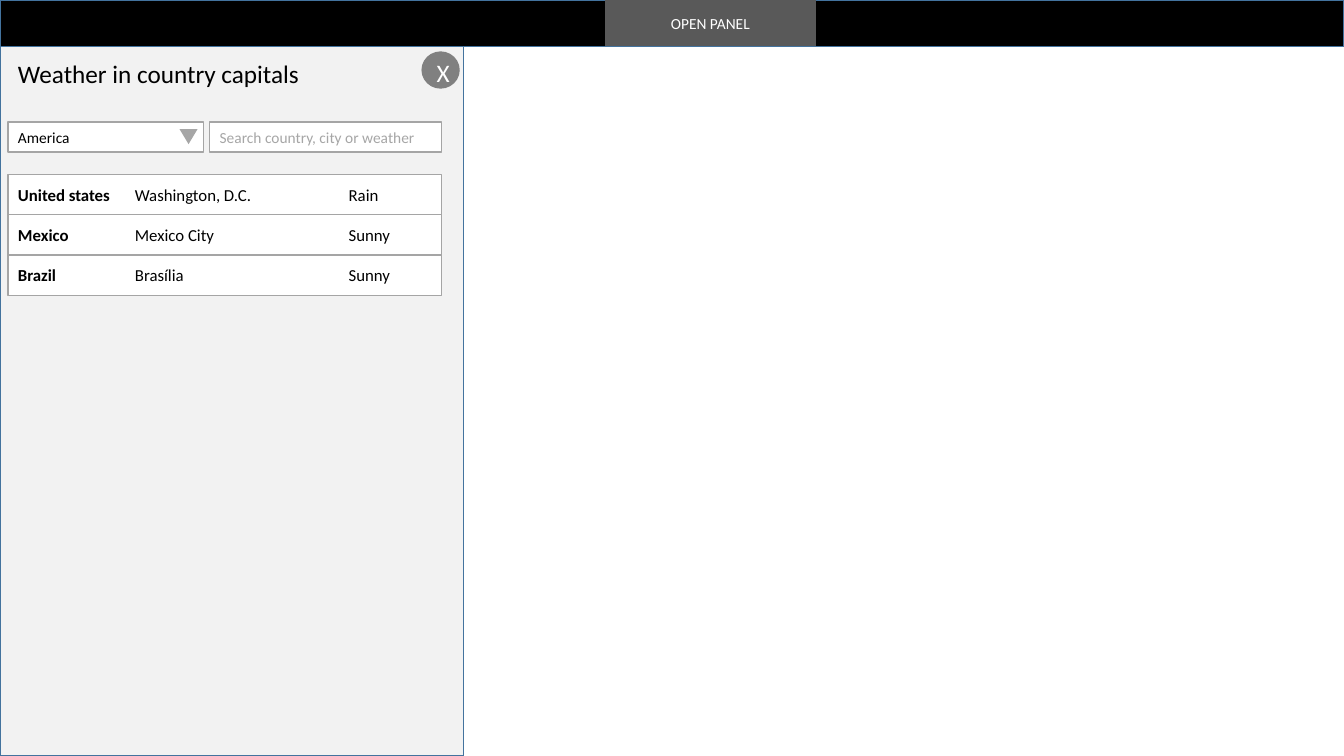
from dataclasses import dataclass

from lxml.etree import SubElement
from pptx import Presentation
from pptx.dml.color import RGBColor
from pptx.enum.shapes import MSO_SHAPE as Preset
from pptx.enum.text import MSO_ANCHOR as Anchor, PP_ALIGN as Align
from pptx.oxml.ns import qn
from pptx.util import Inches, Pt


@dataclass(frozen=True)
class Theme:
    font: str = "Calibri"
    black: str = "000000"
    white: str = "FFFFFF"
    panel: str = "F2F2F2"
    frame: str = "43739E"
    button: str = "595959"
    close: str = "808080"
    border: str = "A5A5A5"
    muted: str = "A6A6A6"
    title_size: int = 18
    row_size: int = 12
    small_size: int = 11


THEME = Theme()
PAGE_WIDTH, PAGE_HEIGHT = 13.33, 7.5
BAR_HEIGHT = 0.46
TAB_STOPS = (1.16, 3.28)
WEATHER = (
    ("United states", "Washington, D.C.", "Rain"),
    ("Mexico", "Mexico City", "Sunny"),
    ("Brazil", "Brasília", "Sunny"),
)


def add_box(page, preset, left, top, width, height, fill, line=None):
    box = page.shapes.add_shape(
        preset, Inches(left), Inches(top), Inches(width), Inches(height))
    box.shadow.inherit = False
    box.fill.solid()
    box.fill.fore_color.rgb = RGBColor.from_string(fill)
    if line:
        box.line.color.rgb = RGBColor.from_string(line)
        box.line.width = Pt(1)
    else:
        box.line.fill.background()
    return box


def write(box, text, size=THEME.small_size, color=THEME.black,
          align=Align.LEFT, anchor=Anchor.MIDDLE, bold=False):
    """Append a formatted span to the first paragraph of the box."""
    frame = box.text_frame
    frame.word_wrap = True
    frame.vertical_anchor = anchor
    para = frame.paragraphs[0]
    para.alignment = align
    span = para.add_run()
    span.text = text
    span.font.name = THEME.font
    span.font.size = Pt(size)
    span.font.bold = bold
    span.font.color.rgb = RGBColor.from_string(color)


def set_tab_stops(para, positions):
    tabs = SubElement(para._p.get_or_add_pPr(), qn("a:tabLst"))
    for position in positions:
        SubElement(tabs, qn("a:tab"), pos=str(Inches(position)), algn="l")


def add_top_bar(page, left, top, width, height):
    add_box(page, Preset.FLOWCHART_PROCESS, left, top, width, height,
            THEME.black, THEME.frame)
    button = add_box(page, Preset.FLOWCHART_PROCESS, left + 6, top, 2.09,
                     height, THEME.button)
    write(button, "OPEN PANEL", color=THEME.white, align=Align.CENTER)


def add_heading(page, left, top):
    title = page.shapes.add_textbox(
        Inches(left + 0.08), Inches(top + 0.07), Inches(3.35), Inches(0.4))
    write(title, "Weather in country capitals", THEME.title_size,
          anchor=Anchor.TOP)
    close = add_box(page, Preset.OVAL, left + 4.18, top + 0.05, 0.38, 0.37,
                    THEME.close)
    frame = close.text_frame
    frame.margin_left, frame.margin_top = Inches(0.05), Inches(0.04)
    frame.margin_right = frame.margin_bottom = 0
    write(close, "X", THEME.title_size, THEME.white, Align.CENTER)


def add_filters(page, left, top, height=0.3):
    region = add_box(page, Preset.FLOWCHART_PROCESS, left, top, 1.94, height,
                     THEME.white, THEME.border)
    write(region, "America")
    arrow = add_box(page, Preset.ISOSCELES_TRIANGLE, left + 1.7, top + 0.07,
                    0.18, 0.15, THEME.muted)
    arrow.rotation = 180
    search = add_box(page, Preset.FLOWCHART_PROCESS, left + 2, top, 2.3,
                     height, THEME.white, THEME.border)
    write(search, "Search country, city or weather", color=THEME.muted)


def add_weather_rows(page, left, top, width, row_height):
    for index, (country, city, weather) in enumerate(WEATHER):
        row = add_box(page, Preset.FLOWCHART_PROCESS, left,
                      top + index * row_height, width, row_height,
                      THEME.white, THEME.border)
        write(row, country, THEME.row_size, bold=True)
        write(row, f"\t{city}\t{weather}", THEME.row_size)
        set_tab_stops(row.text_frame.paragraphs[0], TAB_STOPS)


def add_side_panel(page, left, top, width, height):
    add_box(page, Preset.FLOWCHART_PROCESS, left, top, width, height,
            THEME.panel, THEME.frame)
    add_heading(page, left, top)
    add_filters(page, left + 0.08, top + 0.75)
    add_weather_rows(page, left + 0.08, top + 1.27, 4.3, 0.4)


def main():
    deck = Presentation()
    deck.slide_width, deck.slide_height = Inches(PAGE_WIDTH), Inches(PAGE_HEIGHT)
    page = deck.slides.add_slide(deck.slide_layouts[6])
    add_side_panel(page, 0, BAR_HEIGHT, 4.6, PAGE_HEIGHT - BAR_HEIGHT)
    add_top_bar(page, 0, 0, PAGE_WIDTH, BAR_HEIGHT)
    deck.save("out.pptx")


if __name__ == "__main__":
    main()
